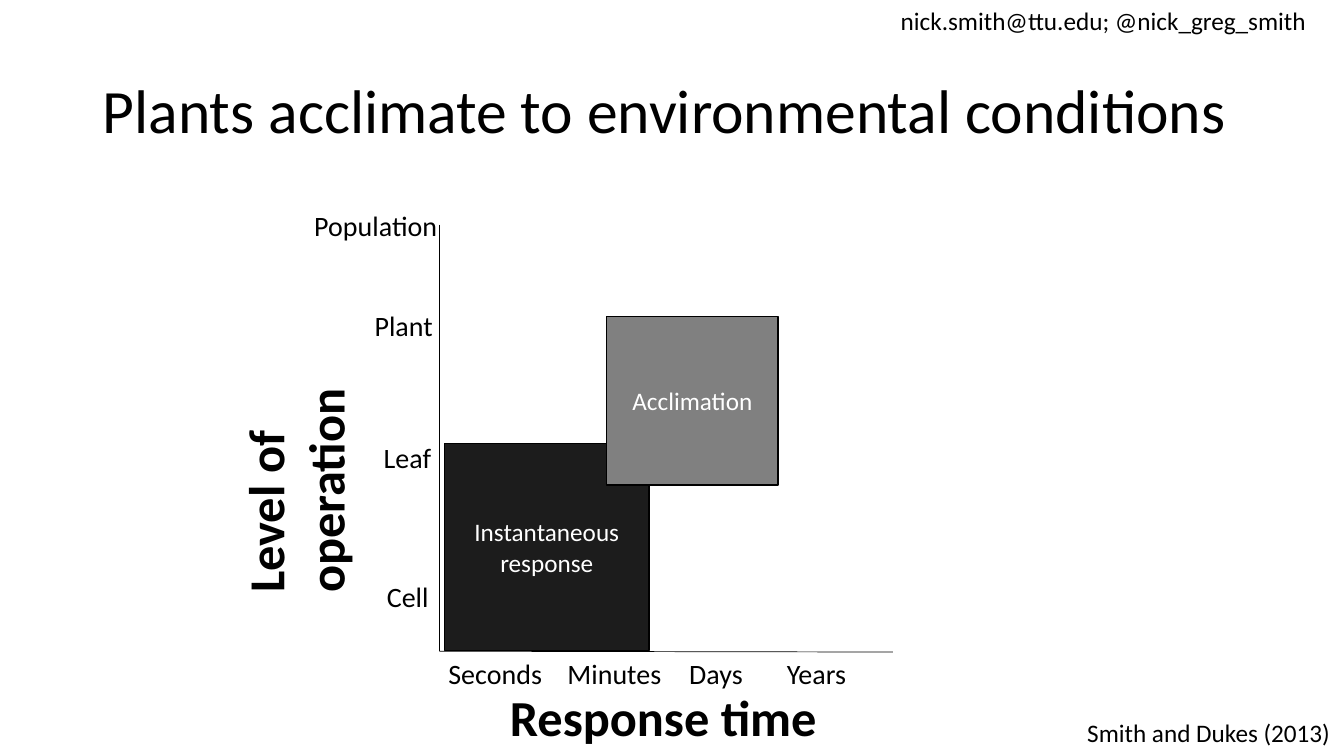
import pptx
import pptx.dml.color
import pptx.enum.shapes
import pptx.enum.text
import pptx.oxml
import pptx.oxml.ns
import pptx.util

Cm = pptx.util.Cm
Pt = pptx.util.Pt
ANCHOR = pptx.enum.text.MSO_ANCHOR
ALIGN = pptx.enum.text.PP_ALIGN
AUTO_SIZE = pptx.enum.text.MSO_AUTO_SIZE

BLACK, WHITE = "000000", "FFFFFF"
LABEL_TOP, LABEL_HEIGHT = 16.43, 1.12

# Label, left, width along the time axis
TIMES = [
    ("Seconds", 11.05, 2.9),
    ("Minutes", 14.05, 2.9),
    ("Days", 17.12, 1.88),
    ("Years", 19.58, 2.03),
]
# Label, left, top, width along the level axis
LEVELS = [
    ("Population", 7.67, 5.13, 3.63),
    ("Plant", 9.19, 7.65, 2.01),
    ("Leaf", 9.42, 10.97, 1.73),
    ("Cell", 9.5, 14.48, 1.57),
]
# Label, position and size, fill
RESPONSES = [
    ("Instantaneous response", (11.2, 11.18, 5.16, 5.21), "1C1C1C"),
    ("Acclimation", (15.29, 7.98, 4.32, 4.24), "808080"),
]


def color(value):
    return pptx.dml.color.RGBColor.from_string(value)


def set_values(target, values):
    for name, value in values.items():
        setattr(target, name, value)


def write_text(shape, text, size, text_color, bold=False, align=ALIGN.LEFT):
    para = shape.text_frame.paragraphs[0]
    para.alignment = align
    span = para.add_run()
    span.text = text
    set_values(span.font, {"name": "Calibri", "size": Pt(size), "bold": bold})
    span.font.color.rgb = color(text_color)
    return para


def add_text(page, text, place, size, bold=False, wrap=False):
    box = page.shapes.add_textbox(*map(Cm, place))
    set_values(box.text_frame, {
        "word_wrap": wrap,
        "auto_size": AUTO_SIZE.SHAPE_TO_FIT_TEXT,
    })
    write_text(box, text, size, BLACK, bold)
    return box


def add_title(page, text, place):
    box = add_text(page, text, place, 44, wrap=True)
    set_values(box.text_frame, {
        "auto_size": AUTO_SIZE.NONE,
        "vertical_anchor": ANCHOR.MIDDLE,
    })
    box.text_frame.paragraphs[0].line_spacing = 0.9


def add_upward_text(page, text, place, size):
    box = add_text(page, text, place, size, bold=True, wrap=True)
    box.text_frame._txBody.bodyPr.set("vert", "vert270")


def add_axis(page, start, end):
    axis = page.shapes.add_connector(
        pptx.enum.shapes.MSO_CONNECTOR.STRAIGHT, *map(Cm, start + end))
    axis.line.color.rgb = color(BLACK)
    axis.line.width = Pt(0.5)
    properties = axis._element.spPr
    properties.append(properties.makeelement(pptx.oxml.ns.qn("a:effectLst"), {}))


def add_response(page, text, place, fill):
    block = page.shapes.add_shape(
        pptx.enum.shapes.MSO_SHAPE.RECTANGLE, *map(Cm, place))
    block.shadow.inherit = False
    block.fill.solid()
    block.fill.fore_color.rgb = color(fill)
    block.line.color.rgb = color(BLACK)
    block.line.width = Pt(1)
    set_values(block.text_frame, {
        "word_wrap": True,
        "vertical_anchor": ANCHOR.MIDDLE,
    })
    write_text(block, text, 18, WHITE, align=ALIGN.CENTER)


def main():
    deck = pptx.Presentation()
    set_values(deck, {"slide_width": Cm(33.87), "slide_height": Cm(19.05)})
    page = deck.slides.add_slide(deck.slide_layouts[6])

    # Heading and contact
    add_title(page, "Plants acclimate to environmental conditions",
              (2.34, 1.02, 29.21, 3.68))
    add_text(page, "nick.smith@ttu.edu; @nick_greg_smith",
             (22.45, 0, 10.85, 1.02), 18)

    # Axes with their labels
    origin = (11.07, 16.41)
    add_axis(page, (11.07, 5.66), origin)
    add_axis(page, origin, (22.5, 16.43))
    for label, left, width in TIMES:
        add_text(page, label, (left, LABEL_TOP, width, LABEL_HEIGHT), 20)
    for label, left, top, width in LEVELS:
        add_text(page, label, (left, top, width, LABEL_HEIGHT), 20)
    add_text(page, "Response time", (12.6, 17.17, 8.33, 1.8), 36,
             bold=True, wrap=True)
    add_upward_text(page, "Level of operation", (5.77, 5.31, 2.06, 9.88), 36)

    # Response ranges
    for label, place, fill in RESPONSES:
        add_response(page, label, place, fill)

    # Citation
    add_text(page, "Smith and Dukes (2013)", (27.15, 17.96, 6.71, 1.02), 18)

    deck.save("out.pptx")


if __name__ == "__main__":
    main()
